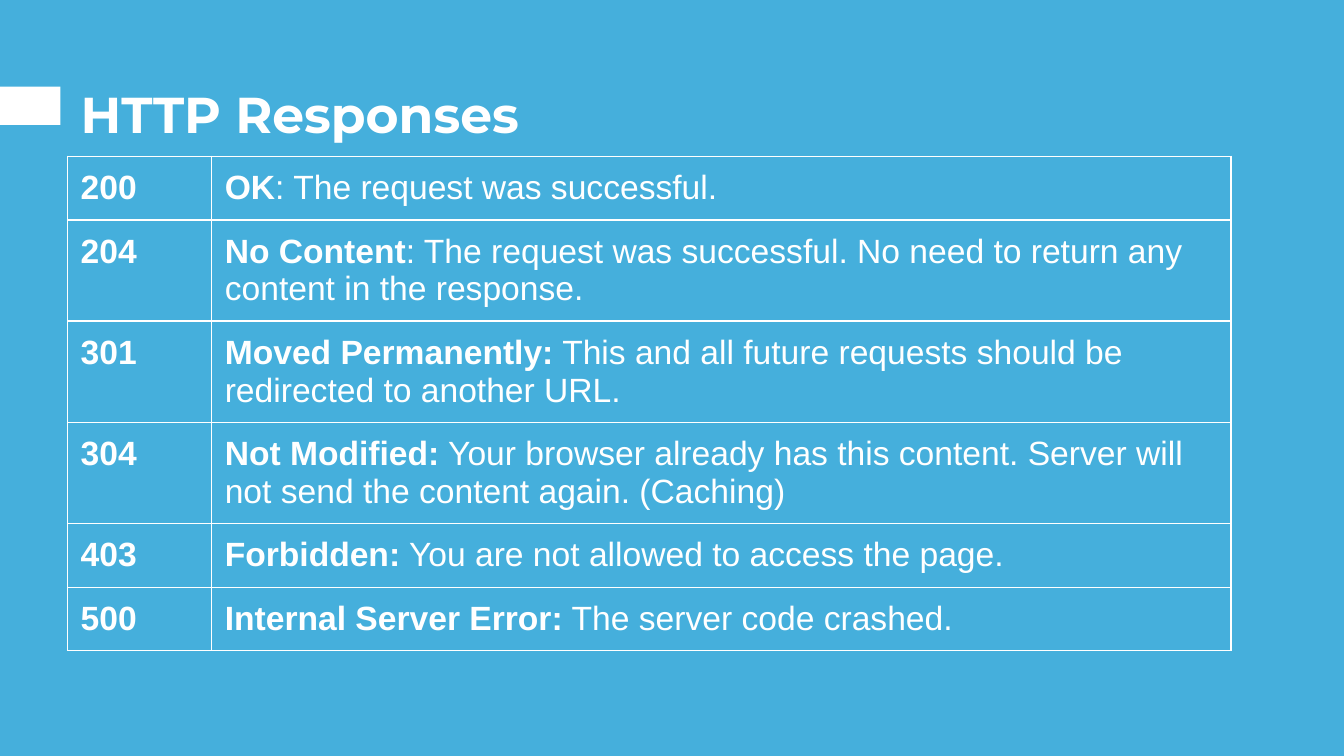
from lxml import etree
from pptx import Presentation
from pptx.dml.color import RGBColor
from pptx.enum.shapes import MSO_SHAPE
from pptx.enum.text import MSO_ANCHOR, MSO_AUTO_SIZE, PP_ALIGN
from pptx.oxml.ns import qn
from pptx.util import Inches, Pt

SKY = RGBColor(0x45, 0xAF, 0xDC)
WHITE = RGBColor(0xFF, 0xFF, 0xFF)
RECTANGLE = MSO_SHAPE.RECTANGLE
BOTTOM, TOP = MSO_ANCHOR.BOTTOM, MSO_ANCHOR.TOP
NO_AUTOFIT = MSO_AUTO_SIZE.NONE
LEFT = PP_ALIGN.LEFT
TITLE_ONLY = 5
INSET = Inches(0.13)
BORDER_WIDTH = Pt(1)
CODE_COLUMN = 1.43
ONE_LINE, TWO_LINES = 0.58, 0.89

RESPONSES = [
    ("200", "OK", ": The request was successful.", ONE_LINE),
    ("204", "No Content", ": The request was successful. No need to return any "
     "content in the response.", TWO_LINES),
    ("301", "Moved Permanently:", " This and all future requests should be "
     "redirected to another URL.", TWO_LINES),
    ("304", "Not Modified:", " Your browser already has this content. Server will "
     "not send the content again. (Caching)", TWO_LINES),
    ("403", "Forbidden:", " You are not allowed to access the page.", ONE_LINE),
    ("500", "Internal Server Error:", " The server code crashed.", ONE_LINE),
]


def style_run(run, font_name, size, bold):
    """Set the font of a run in white."""
    run.font.name = font_name
    run.font.size = Pt(size)
    run.font.bold = bold
    run.font.color.rgb = WHITE


def set_insets(target):
    """Give a cell or text frame the same margin on every side."""
    target.margin_left = target.margin_right = INSET
    target.margin_top = target.margin_bottom = INSET


def add_cell_borders(cell):
    """Draw a thin white line on each side of a cell."""
    properties = cell._tc.get_or_add_tcPr()
    for position, side in enumerate(("lnL", "lnR", "lnT", "lnB")):
        line = etree.Element(qn(f"a:{side}"), w=str(BORDER_WIDTH))
        fill = etree.SubElement(line, qn("a:solidFill"))
        etree.SubElement(fill, qn("a:srgbClr"), val=str(WHITE))
        properties.insert(position, line)


def add_accent(slide, left, top, width, height):
    """Place the white tab at the slide edge."""
    accent = slide.shapes.add_shape(
        RECTANGLE, Inches(left), Inches(top), Inches(width), Inches(height))
    accent.shadow.inherit = False
    accent.fill.solid()
    accent.fill.fore_color.rgb = WHITE
    accent.line.fill.background()


def add_heading(slide, left, top, width, height):
    """Fill the title placeholder and fit it to the box."""
    heading = slide.shapes.title
    heading.left, heading.top = Inches(left), Inches(top)
    heading.width, heading.height = Inches(width), Inches(height)
    frame = heading.text_frame
    frame.text = "HTTP Responses"
    frame.word_wrap = True
    frame.auto_size = NO_AUTOFIT
    frame.vertical_anchor = BOTTOM
    set_insets(frame)
    frame.paragraphs[0].alignment = LEFT
    style_run(frame.paragraphs[0].runs[0], "Montserrat", 36, True)


def fill_cell(cell, bold_text, plain_text=""):
    """Write a bold term and its plain explanation in a bordered cell."""
    cell.fill.background()
    cell.vertical_anchor = TOP
    set_insets(cell)
    add_cell_borders(cell)
    paragraph = cell.text_frame.paragraphs[0]
    for words, bold in ((bold_text, True), (plain_text, False)):
        if words:
            run = paragraph.add_run()
            run.text = words
            style_run(run, "Arial", 24, bold)


def add_responses(slide, left, top, width):
    """Build the table of status codes and meanings."""
    height = sum(row_height for *_, row_height in RESPONSES)
    table = slide.shapes.add_table(
        len(RESPONSES), 2, Inches(left), Inches(top),
        Inches(width), Inches(height)).table
    table.first_row = table.horz_banding = False
    table.columns[0].width = Inches(CODE_COLUMN)
    table.columns[1].width = Inches(width - CODE_COLUMN)
    for index, (code, term, meaning, row_height) in enumerate(RESPONSES):
        table.rows[index].height = Inches(row_height)
        fill_cell(table.cell(index, 0), code)
        fill_cell(table.cell(index, 1), term, meaning)


def main():
    """Build and save the slide."""
    presentation = Presentation()
    presentation.slide_width = Inches(13.33)
    presentation.slide_height = Inches(7.5)
    slide = presentation.slides.add_slide(presentation.slide_layouts[TITLE_ONLY])
    slide.background.fill.solid()
    slide.background.fill.fore_color.rgb = SKY
    add_accent(slide, 0, 0.86, 0.6, 0.38)
    add_heading(slide, 0.67, 0.3, 12.16, 1.25)
    add_responses(slide, 0.67, 1.55, 11.54)
    presentation.save("out.pptx")


if __name__ == "__main__":
    main()
